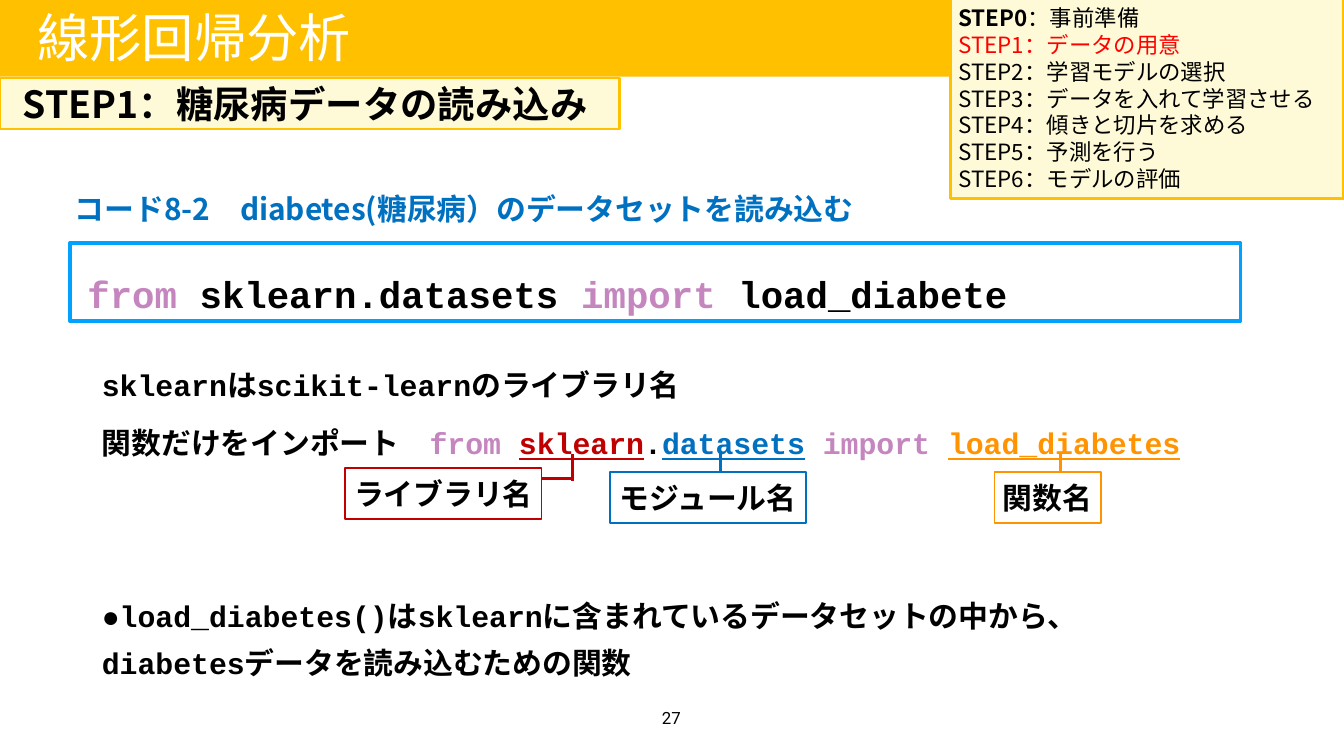
from dataclasses import dataclass

from lxml import etree
from pptx import Presentation
from pptx.dml.color import RGBColor
from pptx.enum.shapes import MSO_CONNECTOR, MSO_SHAPE
from pptx.enum.text import MSO_ANCHOR, PP_ALIGN
from pptx.oxml.ns import qn
from pptx.util import Inches, Pt

RECT = MSO_SHAPE.RECTANGLE
STRAIGHT = MSO_CONNECTOR.STRAIGHT
TOP, MIDDLE = MSO_ANCHOR.TOP, MSO_ANCHOR.MIDDLE
LEFT, CENTER = PP_ALIGN.LEFT, PP_ALIGN.CENTER

MONO, SANS, ROBOTO = "Courier New", "Noto Sans CJK JP", "Roboto"
BLACK, WHITE, RED = "000000", "FFFFFF", "FF0000"
AMBER, CREAM, SKY = "FFC000", "FEF9D6", "00A2FF"
KEYWORD, LIBRARY, MODULE, FUNCTION = "C586C0", "C00000", "0070C0", "FF9300"


@dataclass
class Run:
    text: str
    color: str = BLACK
    bold: bool = True
    underline: bool = False


@dataclass
class Label:
    text: str
    left: float
    top: float
    width: float
    color: str


@dataclass
class Leader:
    x1: float
    y1: float
    x2: float
    y2: float
    color: str


def rgb(color: str) -> RGBColor:
    return RGBColor.from_string(color)


def add_box(s, left: float, top: float, width: float, height: float,
            fill: str = "", line: str = "", weight: float = 1):
    sp = s.shapes.add_shape(RECT, Inches(left), Inches(top), Inches(width), Inches(height))
    sp.shadow.inherit = False
    if fill:
        sp.fill.solid()
        sp.fill.fore_color.rgb = rgb(fill)
    else:
        sp.fill.background()
    if line:
        sp.line.color.rgb = rgb(line)
        sp.line.width = Pt(weight)
    else:
        sp.line.fill.background()
    return sp


def add_textbox(s, left: float, top: float, width: float, height: float):
    return s.shapes.add_textbox(Inches(left), Inches(top), Inches(width), Inches(height))


def write(sp, paragraphs: list[list[Run]], *, size: float, font: str,
          anchor=MIDDLE, align=LEFT, insets=(0.06, 0.06, 0.06, 0.06), wrap=True,
          margin: float = 0, indent: float = 0, spacing: float = 1, before=()) -> None:
    tf = sp.text_frame
    tf.word_wrap = wrap
    tf.vertical_anchor = anchor
    tf.margin_left, tf.margin_top, tf.margin_right, tf.margin_bottom = map(Inches, insets)
    for i, runs in enumerate(paragraphs):
        p = tf.paragraphs[0] if i == 0 else tf.add_paragraph()
        p.alignment = align
        p.line_spacing = spacing
        p.space_before = Pt(before[i] if before else 0)
        pPr = p._p.get_or_add_pPr()
        pPr.set("marL", str(Inches(margin)))
        pPr.set("indent", str(Inches(indent)))
        for run in runs:
            r = p.add_run()
            r.text = run.text
            r.font.size = Pt(size)
            r.font.name = font
            r.font.bold = run.bold
            r.font.underline = run.underline
            r.font.color.rgb = rgb(run.color)
            ea = etree.SubElement(r._r.get_or_add_rPr(), qn("a:ea"))
            ea.set("typeface", SANS)


def add_label(s, label: Label) -> None:
    sp = add_box(s, label.left, label.top, label.width, 0.38, line=label.color)
    write(sp, [[Run(label.text)]], size=16, font=MONO, align=CENTER, wrap=False)


def add_leader(s, leader: Leader) -> None:
    cx = s.shapes.add_connector(STRAIGHT, Inches(leader.x1), Inches(leader.y1),
                                Inches(leader.x2), Inches(leader.y2))
    cx.line.color.rgb = rgb(leader.color)
    cx.line.width = Pt(1.5)
    etree.SubElement(cx._element.spPr, qn("a:effectLst"))


STEPS = [
    [Run("STEP0"), Run("：事前準備", bold=False)],
    [Run("STEP1：データの用意", RED, bold=False)],
] + [[Run(text, bold=False)] for text in (
    "STEP2：学習モデルの選択",
    "STEP3：データを入れて学習させる",
    "STEP4：傾きと切片を求める",
    "STEP5：予測を行う",
    "STEP6：モデルの評価",
)]

CODE = [[Run("from ", KEYWORD), Run("sklearn.datasets "),
         Run("import ", KEYWORD), Run("load_diabete")]]

BODY = [
    [Run("sklearnはscikit-learnのライブラリ名")],
    [Run("関数だけをインポート　"), Run("from ", KEYWORD),
     Run("sklearn", LIBRARY, underline=True), Run("."),
     Run("datasets", MODULE, underline=True), Run(" "),
     Run("import ", KEYWORD), Run("load_diabetes", FUNCTION, underline=True)],
    [Run("●load_diabetes()はsklearnに含まれているデータセットの中から、"
         "diabetesデータを読み込むための関数")],
]

LABELS = [
    Label("ライブラリ名", 2.57, 3.48, 1.46, LIBRARY),
    Label("モジュール名", 4.54, 3.51, 1.46, MODULE),
    Label("関数名", 7.4, 3.51, 0.79, FUNCTION),
]

LEADERS = [
    Leader(4.26, 3.58, 4.26, 3.38, LIBRARY),
    Leader(4.27, 3.56, 4.03, 3.56, LIBRARY),
    Leader(5.36, 3.52, 5.36, 3.36, MODULE),
    Leader(7.89, 3.51, 7.89, 3.36, FUNCTION),
]


def main() -> None:
    prs = Presentation()
    prs.slide_width = Inches(10)
    prs.slide_height = Inches(10 * 9 / 16)
    s = prs.slides.add_slide(prs.slide_layouts[6])

    add_box(s, 0, -0.01, 10, 0.58, fill=AMBER)
    code = add_box(s, 0.52, 1.81, 8.71, 0.58, line=SKY, weight=2)
    write(code, CODE, size=20, font=MONO, insets=(0.13, 0.04, 0.09, 0.04), spacing=1.5)
    body = add_textbox(s, 0.64, 2.6, 8.46, 2.52)
    write(body, BODY, size=16, font=MONO, anchor=TOP, insets=(0.1, 0.05, 0.1, 0.05),
          margin=0.02, spacing=1.3, before=(0, 6, 68))

    steps = add_box(s, 7.07, -0.01, 2.93, 1.49, fill=CREAM, line=AMBER, weight=1.5)
    write(steps, STEPS, size=12, font=SANS, insets=(0, 0.03, 0.04, 0.04),
          margin=0.11, indent=-0.05)
    heading = add_box(s, 0, 0.58, 4.61, 0.38, fill=CREAM, line=AMBER, weight=1.5)
    write(heading, [[Run("STEP1：糖尿病データの読み込み")]], size=20, font=SANS,
          insets=(0.02, 0.02, 0.02, 0.02), margin=0.15)
    title = add_textbox(s, 0.26, 0.02, 2.4, 0.51)
    write(title, [[Run("線形回帰分析", WHITE, bold=False)]], size=28, font=SANS,
          insets=(0.02, 0.02, 0.02, 0.02), wrap=False)
    number = add_textbox(s, 4.87, 5.21, 0.25, 0.26)
    write(number, [[Run("27", bold=False)]], size=9, font=ROBOTO, anchor=TOP,
          align=CENTER, insets=(0, 0.06, 0, 0.06), wrap=False)

    for label in LABELS:
        add_label(s, label)
    for leader in LEADERS:
        add_leader(s, leader)

    caption = add_textbox(s, 0, 1.36, 6.91, 0.39)
    write(caption, [[Run("コード8-2　diabetes(糖尿病）のデータセットを読み込む", MODULE)]],
          size=16, font=SANS, align=CENTER)
    prs.save("out.pptx")


if __name__ == "__main__":
    main()
